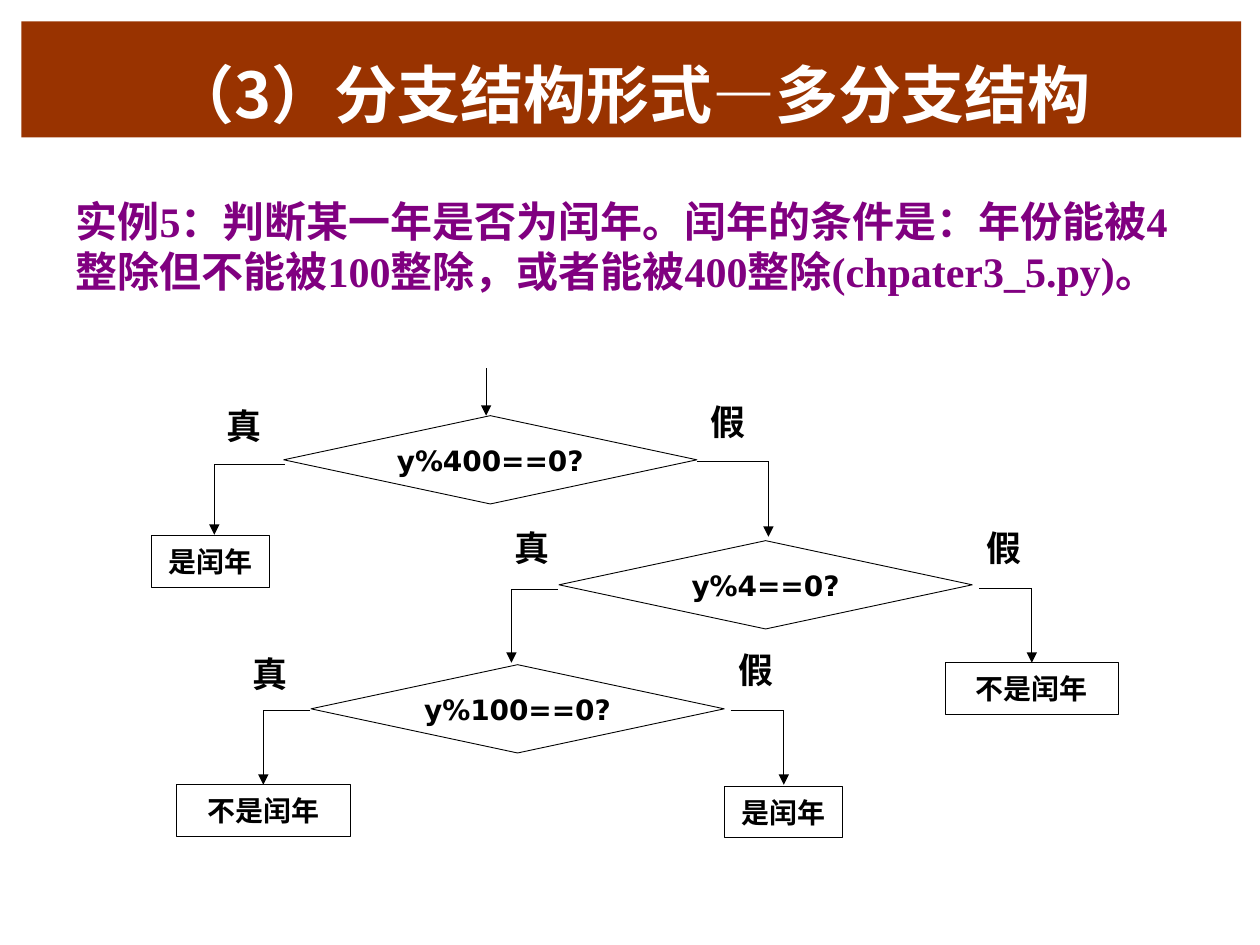
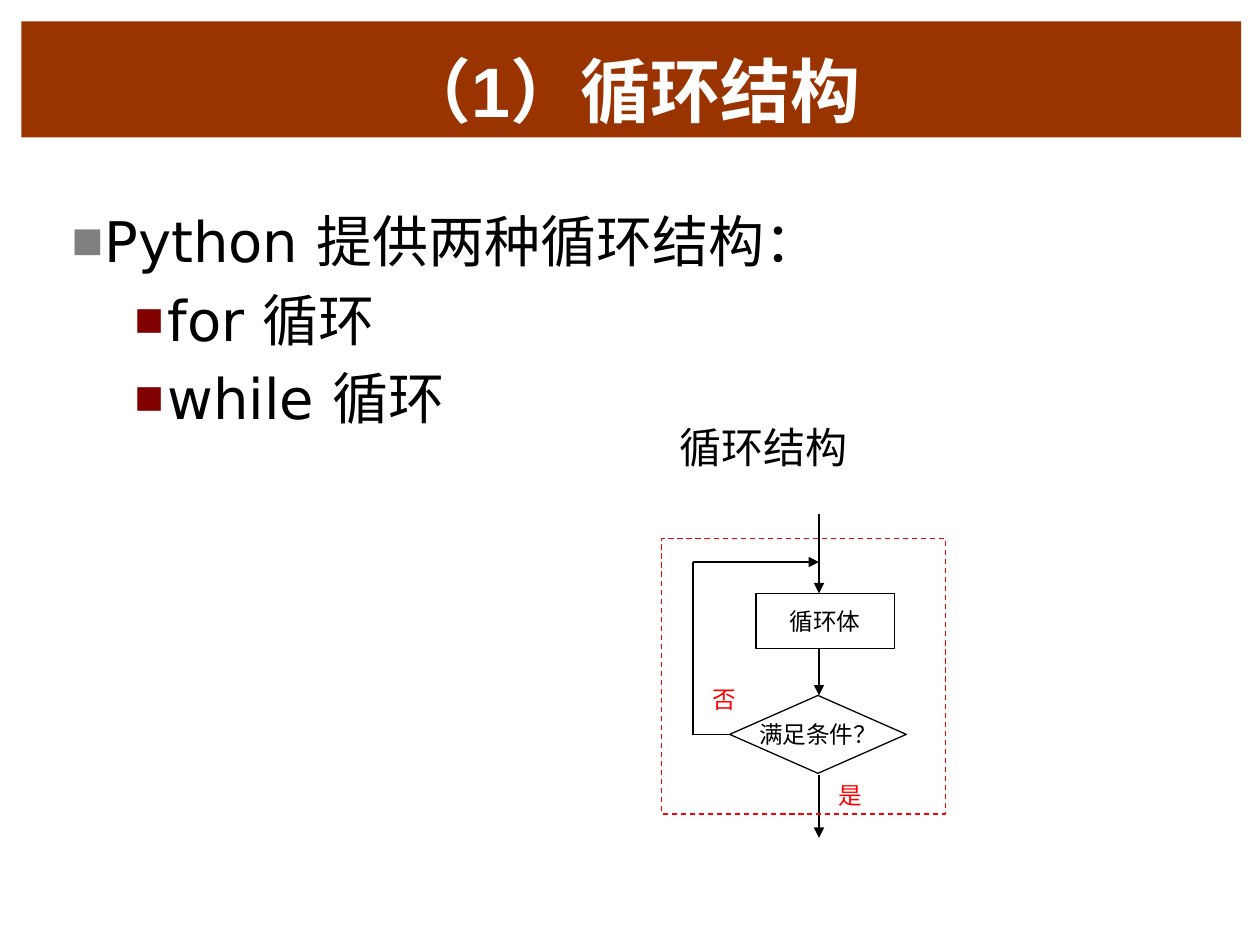
"""Build two slides on branch and loop structures with their flowcharts."""
from dataclasses import dataclass, field
from itertools import pairwise

from lxml.etree import SubElement
from pptx import Presentation
from pptx.dml.color import RGBColor
from pptx.enum.dml import MSO_LINE_DASH_STYLE as Dash
from pptx.enum.shapes import MSO_CONNECTOR as Link, MSO_SHAPE as Preset
from pptx.enum.text import MSO_ANCHOR as Anchor, MSO_AUTO_SIZE as Fit, PP_ALIGN as Align
from pptx.oxml.ns import qn
from pptx.util import Cm, Pt

COLORS = {"band": "993300", "white": "FFFFFF", "purple": "800080", "black": "000000",
          "red": "FF0000", "gray": "808080", "maroon": "800000"}
CJK = "Noto Sans CJK SC"
SANS = "DejaVu Sans"
Box = tuple[float, float, float, float]
Point = tuple[float, float]


@dataclass(frozen=True)
class TextStyle:
    size: float
    color: str = "black"
    name: str = SANS
    bold: bool = False
    before: float = 0
    align: Align = Align.LEFT
    frame: dict = field(default_factory=dict)


@dataclass(frozen=True)
class Node:
    text: str
    box: Box
    preset: Preset


@dataclass(frozen=True)
class Label:
    text: str
    box: Box


@dataclass(frozen=True)
class Route:
    points: list[Point]
    arrow: bool = True


@dataclass(frozen=True)
class Bullet:
    text: str
    level: int
    indent: float
    color: str
    percent: int


@dataclass(frozen=True)
class Chart:
    nodes: list[Node]
    labels: list[Label]
    routes: list[Route]
    node_style: TextStyle
    label_style: TextStyle
    line_width: float


NO_INSETS = {f"margin_{side}": 0 for side in ("left", "right", "top", "bottom")}
LOOSE = {"word_wrap": False, "auto_size": Fit.SHAPE_TO_FIT_TEXT}
BRANCH_NODE = TextStyle(16, bold=True, before=5, align=Align.CENTER,
                        frame={"vertical_anchor": Anchor.MIDDLE, "word_wrap": True, **NO_INSETS})
BRANCH_LABEL = TextStyle(20, bold=True, before=5,
                         frame={"word_wrap": True, "auto_size": Fit.SHAPE_TO_FIT_TEXT})
LOOP_NODE = TextStyle(13.5, align=Align.CENTER,
                      frame={"vertical_anchor": Anchor.MIDDLE, "word_wrap": False})
LOOP_LABEL = TextStyle(13.5, "red", frame=LOOSE)
CAPTION = TextStyle(24, name=CJK, frame={"vertical_anchor": Anchor.MIDDLE, "word_wrap": True})
EXAMPLE = TextStyle(24, "purple", "Times New Roman", True, 4.8,
                    frame={"word_wrap": True, "auto_size": Fit.NONE})
LIST_ITEM = TextStyle(32, before=6.4, frame={"word_wrap": True, "auto_size": Fit.NONE})


def rgb(color: str) -> RGBColor:
    """Look up a named colour."""
    return RGBColor.from_string(COLORS[color])


def apply(target: object, values: dict) -> None:
    """Set every format value on the target."""
    for key, value in values.items():
        setattr(target, key, value)


def place(shape, box: Box) -> None:
    """Move a shape to its box."""
    apply(shape, dict(zip(("left", "top", "width", "height"), map(Cm, box))))


def add_run(paragraph, text: str, style: TextStyle) -> None:
    """Add a run of text with Latin and East Asian fonts."""
    run = paragraph.add_run()
    run.text = text
    apply(run.font, {"size": Pt(style.size), "bold": style.bold, "name": style.name})
    run.font.color.rgb = rgb(style.color)
    SubElement(run.font._element, qn("a:ea"), typeface=CJK)


def write(shape, text: str, style: TextStyle):
    """Fill a shape with one paragraph and return that paragraph."""
    apply(shape.text_frame, style.frame)
    paragraph = shape.text_frame.paragraphs[0]
    apply(paragraph, {"alignment": style.align, "space_before": Pt(style.before)})
    add_run(paragraph, text, style)
    return paragraph


def set_indent(paragraph, left: float, first: float):
    """Set the indents of a paragraph and return its properties."""
    properties = paragraph._p.get_or_add_pPr()
    properties.set("marL", str(Cm(left)))
    properties.set("indent", str(Cm(first)))
    return properties


def add_bullet(paragraph, bullet: Bullet) -> None:
    """Give a paragraph a coloured square bullet."""
    properties = set_indent(paragraph, bullet.indent, -0.66)
    color = SubElement(properties, qn("a:buClr"))
    SubElement(color, qn("a:srgbClr"), val=COLORS[bullet.color])
    SubElement(properties, qn("a:buSzPct"), val=str(bullet.percent * 1000))
    SubElement(properties, qn("a:buFont"), typeface=SANS)
    SubElement(properties, qn("a:buChar"), char="■")


def add_outline(shapes, preset: Preset, box: Box, color: str, width: float):
    """Add an unfilled preset shape."""
    shape = shapes.add_shape(preset, *map(Cm, box))
    shape.shadow.inherit = False
    shape.fill.background()
    shape.line.color.rgb = rgb(color)
    shape.line.width = Pt(width)
    return shape


def add_label(shapes, label: Label, style: TextStyle):
    """Add a text box and return its paragraph."""
    return write(shapes.add_textbox(*map(Cm, label.box)), label.text, style)


def add_route(shapes, route: Route, width: float) -> None:
    """Join the points with lines, the last one with an arrowhead."""
    segments = list(pairwise(route.points))
    for number, (start, end) in enumerate(segments, 1):
        line = shapes.add_connector(Link.STRAIGHT, *map(Cm, start + end))
        line.line.color.rgb = rgb("black")
        line.line.width = Pt(width)
        if route.arrow and number == len(segments):
            SubElement(line.line._get_or_add_ln(), qn("a:tailEnd"), type="triangle")
        SubElement(line._element.spPr, qn("a:effectLst"))


def draw_chart(slide, chart: Chart):
    """Draw a flowchart as one group and return its shapes."""
    shapes = slide.shapes.add_group_shape().shapes
    for node in chart.nodes:
        outline = add_outline(shapes, node.preset, node.box, "black", chart.line_width)
        write(outline, node.text, chart.node_style)
    for route in chart.routes:
        add_route(shapes, route, chart.line_width)
    for label in chart.labels:
        add_label(shapes, label, chart.label_style)
    return shapes


def start_slide(deck, size: float, parts: list[tuple[str, str]]):
    """Add a slide with the title band; parts are pairs of text and font."""
    slide = deck.slides.add_slide(deck.slide_layouts[1])
    title = slide.shapes.title
    place(title, (0.43, 0.43, 24.59, 2.34))
    title.fill.solid()
    title.fill.fore_color.rgb = rgb("band")
    apply(title.text_frame, {"vertical_anchor": Anchor.BOTTOM, "auto_size": Fit.NONE,
                             "word_wrap": True})
    heading = title.text_frame.paragraphs[0]
    heading.alignment = Align.CENTER
    for text, font in parts:
        add_run(heading, text, TextStyle(size, "white", font, True))
    return slide


def decision(text: str, left: float, top: float) -> Node:
    """Describe a question of the branch chart."""
    return Node(text, (left, top, 8.33, 1.78), Preset.FLOWCHART_DECISION)


def outcome(leap: bool, left: float, top: float) -> Node:
    """Describe a result of the branch chart."""
    text, width = ("是闰年", 2.39) if leap else ("不是闰年", 3.5)
    return Node(text, (left, top, width, 1.04), Preset.FLOWCHART_PROCESS)


def branch(start: Point, x: float, bottom: float) -> Route:
    """Describe a route that goes sideways and then down."""
    return Route([start, (x, start[1]), (x, bottom)])


def build_branch_slide(deck) -> None:
    """Build the leap year slide."""
    slide = start_slide(deck, 36, [("（3）分支结构形式", CJK), ("—", "Times New Roman"),
                                   ("多分支结构", "Arial")])
    example = slide.placeholders[1]
    place(example, (1.27, 3.81, 23.06, 2.54))
    text = ("实例5：判断某一年是否为闰年。闰年的条件是：年份能被4整除但不能被100整除，"
            "或者能被400整除(chpater3_5.py)。")
    SubElement(set_indent(write(example, text, EXAMPLE), 0, 0), qn("a:buNone"))
    true_spots = [(4.32, 8.03), (10.13, 10.49), (4.85, 13.03)]
    false_spots = [(14.07, 7.95), (19.63, 10.49), (14.63, 12.95)]
    draw_chart(slide, Chart(
        nodes=[decision("y%400==0?", 5.72, 8.38), decision("y%4==0?", 11.27, 10.9),
               decision("y%100==0?", 6.27, 13.4),
               outcome(True, 3.05, 10.8), outcome(False, 19.05, 13.36),
               outcome(False, 3.56, 15.82), outcome(True, 14.6, 15.85)],
        labels=[Label(word, (*spot, 1.42, 1.12))
                for word, spots in (("真", true_spots), ("假", false_spots)) for spot in spots],
        routes=[Route([(9.8, 7.42), (9.8, 8.38)]),
                branch((5.74, 9.37), 4.32, 10.78), branch((14.05, 9.3), 15.49, 10.82),
                branch((11.25, 11.88), 10.31, 13.36), branch((19.74, 11.86), 20.8, 13.36),
                branch((6.25, 14.33), 5.31, 15.82), branch((14.73, 14.33), 15.8, 15.82)],
        node_style=BRANCH_NODE, label_style=BRANCH_LABEL, line_width=0.5))


def build_loop_slide(deck) -> None:
    """Build the loop slide."""
    slide = start_slide(deck, 40, [("（1）循环结构", "Arial")])
    kinds = slide.placeholders[1]
    place(kinds, (1.19, 4.04, 16.46, 8.26))
    apply(kinds.text_frame, LIST_ITEM.frame)
    bullets = [Bullet("Python 提供两种循环结构：", 0, 0.66, "gray", 60),
               *(Bullet(f"{word} 循环", 1, 1.93, "maroon", 55) for word in ("for", "while"))]
    for number, bullet in enumerate(bullets):
        frame = kinds.text_frame
        item = frame.add_paragraph() if number else frame.paragraphs[0]
        apply(item, {"level": bullet.level, "space_before": Pt(LIST_ITEM.before)})
        add_run(item, bullet.text, LIST_ITEM)
        add_bullet(item, bullet)
    axis = 16.51
    loop = draw_chart(slide, Chart(
        nodes=[Node("满足条件？", (14.71, 14.02, 3.56, 1.57), Preset.DIAMOND),
               Node("循环体", (15.24, 11.96, 2.79, 1.12), Preset.RECTANGLE)],
        labels=[Label("是", (16.66, 15.62, 0.99, 0.84)), Label("否", (14.12, 13.69, 0.99, 0.84))],
        routes=[*(Route([(axis, top), (axis, bottom)])
                  for top, bottom in ((10.36, 11.96), (13.08, 14.02), (15.62, 16.89))),
                Route([(14.76, 14.81), (13.97, 14.81), (13.97, 11.33), (axis, 11.33)])],
        node_style=LOOP_NODE, label_style=LOOP_LABEL, line_width=0.75))
    border = add_outline(loop, Preset.RECTANGLE, (13.34, 10.85, 5.72, 5.56), "red", 0.75)
    border.line.dash_style = Dash.DASH
    caption = add_label(slide.shapes, Label("循环结构", (13.44, 8.18, 5.03, 1.78)), CAPTION)
    caption.line_spacing = 0.9


def main() -> None:
    """Build and save the deck."""
    deck = Presentation()
    apply(deck, {"slide_width": Cm(25.4), "slide_height": Cm(19.05)})
    build_branch_slide(deck)
    build_loop_slide(deck)
    deck.save("out.pptx")


if __name__ == "__main__":
    main()
